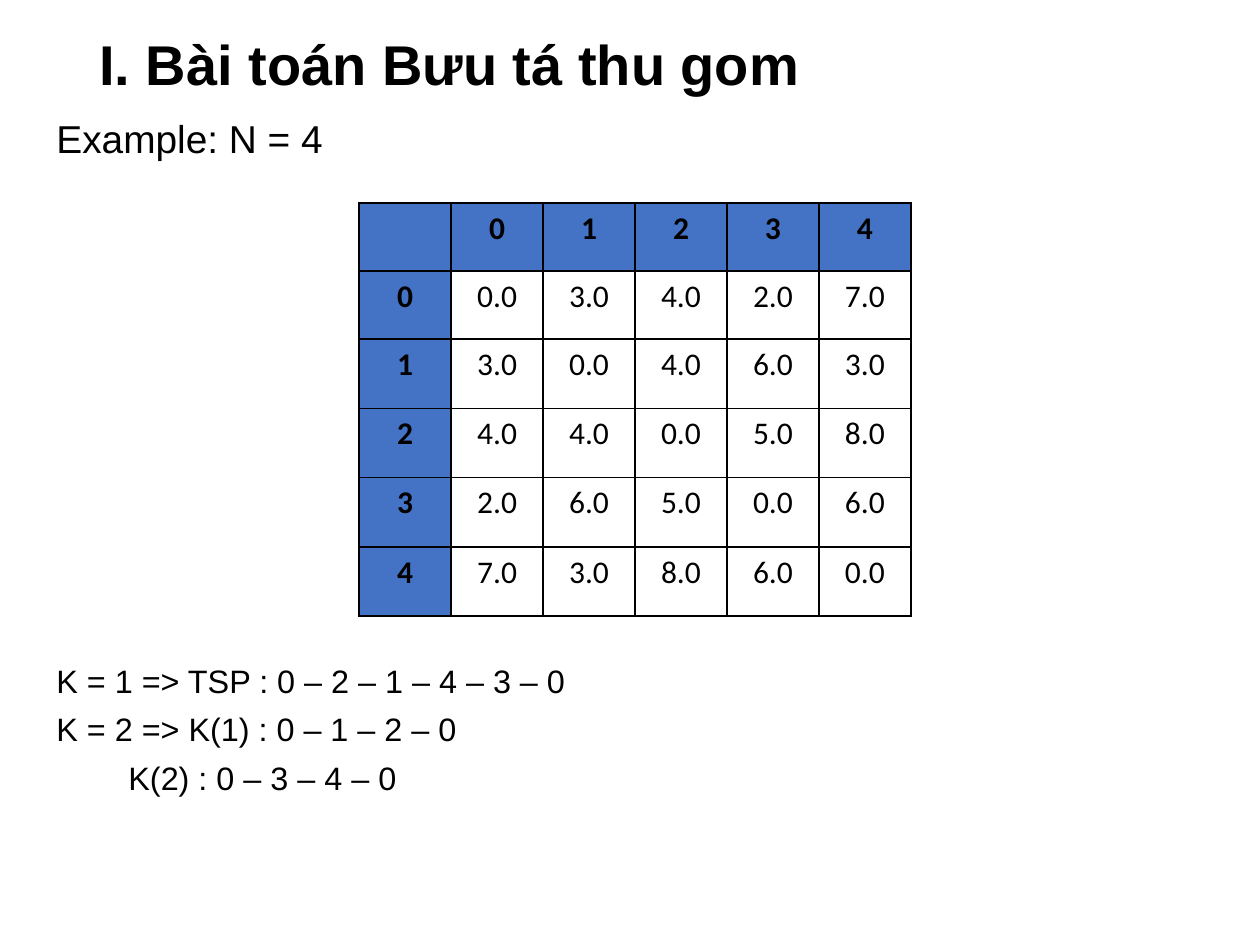
"""Build the collecting-postman example slide with its distance matrix."""
from dataclasses import dataclass

import pptx
import pptx.dml.color
import pptx.enum.text
import pptx.oxml
import pptx.oxml.ns
import pptx.util

Pt = pptx.util.Pt
RGB = pptx.dml.color.RGBColor
PP_ALIGN = pptx.enum.text.PP_ALIGN
ANCHOR = pptx.enum.text.MSO_ANCHOR


@dataclass(frozen=True)
class Theme:
    """Colours, fonts and type sizes of the slide."""
    ink: str = "000000"
    header: str = "4472C4"
    paper: str = "FFFFFF"
    text_font: str = "Arial"
    table_font: str = "Calibri"
    title: float = 32
    example: float = 22.2
    route: float = 18.5
    cell: float = 18


THEME = Theme()
DISTANCES = [
    [0, 3, 4, 2, 7],
    [3, 0, 4, 6, 3],
    [4, 4, 0, 5, 8],
    [2, 6, 5, 0, 6],
    [7, 3, 8, 6, 0],
]
ROUTES = [
    "K = 1 => TSP : 0 – 2 – 1 – 4 – 3 – 0",
    "K = 2 => K(1) : 0 – 1 – 2 – 0",
    "\t K(2) : 0 – 3 – 4 – 0",
]


def set_attrs(obj, fmt):
    """Apply a dict of format values to an object."""
    for name, value in fmt.items():
        setattr(obj, name, value)


def write(p, text, font, para):
    """Put one formatted run into a paragraph."""
    set_attrs(p, para)
    r = p.add_run()
    r.text = text
    set_attrs(r.font, font)
    r.font.color.rgb = RGB.from_string(THEME.ink)


def add_text(s, box, paragraphs, anchor=ANCHOR.TOP):
    """Add a wrapping text box of (text, font, paragraph format) items."""
    tf = s.shapes.add_textbox(*map(Pt, box)).text_frame
    set_attrs(tf, {"word_wrap": True, "vertical_anchor": anchor})
    for i, item in enumerate(paragraphs):
        write(tf.add_paragraph() if i else tf.paragraphs[0], *item)


def add_borders(cell):
    """Draw a one-point line on every side of a cell."""
    tc_pr = cell._tc.get_or_add_tcPr()
    ns = pptx.oxml.ns.nsdecls("a")
    for i, side in enumerate(("lnL", "lnR", "lnT", "lnB")):
        tc_pr.insert(i, pptx.oxml.parse_xml(
            f'<a:{side} {ns} w="{Pt(1)}"><a:solidFill>'
            f'<a:srgbClr val="{THEME.ink}"/></a:solidFill></a:{side}>'))


def add_matrix(s, left, top, col_width, row_heights):
    """Add the distance matrix with numbered header row and column."""
    n = len(DISTANCES)
    rows = [["", *map(str, range(n))]]
    rows += [[str(i), *(f"{d:.1f}" for d in row)] for i, row in enumerate(DISTANCES)]
    table = s.shapes.add_table(n + 1, n + 1, Pt(left), Pt(top),
                               Pt(col_width * (n + 1)), Pt(sum(row_heights))).table
    set_attrs(table, {"first_row": False, "horz_banding": False})
    for col in table.columns:
        col.width = Pt(col_width)
    for i, (row, height) in enumerate(zip(rows, row_heights)):
        table.rows[i].height = Pt(height)
        for j, text in enumerate(row):
            cell, head = table.cell(i, j), i == 0 or j == 0
            cell.fill.solid()
            cell.fill.fore_color.rgb = RGB.from_string(THEME.header if head else THEME.paper)
            add_borders(cell)
            if text:
                font = {"name": THEME.table_font, "size": Pt(THEME.cell), "bold": head}
                write(cell.text_frame.paragraphs[0], text, font, {"alignment": PP_ALIGN.CENTER})


def main():
    """Build and save the slide."""
    prs = pptx.Presentation()
    set_attrs(prs, {"slide_width": Pt(720), "slide_height": Pt(540)})
    s = prs.slides.add_slide(prs.slide_layouts[6])
    title = {"name": THEME.text_font, "size": Pt(THEME.title), "bold": True}
    example = {"name": THEME.text_font, "size": Pt(THEME.example)}
    route = {"name": THEME.text_font, "size": Pt(THEME.route)}
    add_text(s, (49.7, 9.4, 620.6, 58.3),
             [("I. Bài toán Bưu tá thu gom", title, {"line_spacing": 0.9})], ANCHOR.MIDDLE)
    body = [("Example: N = 4", example, {"line_spacing": 0.8})]
    body += [(text, route, {"line_spacing": 0.8, "space_before": Pt(10 if i else 290)})
             for i, text in enumerate(ROUTES)]
    add_text(s, (25.2, 67, 674.6, 411.1), body)
    add_matrix(s, 205.2, 115.9, 52.56, [38.9] * 2 + [39.6] * 4)
    prs.save("out.pptx")


if __name__ == "__main__":
    main()
